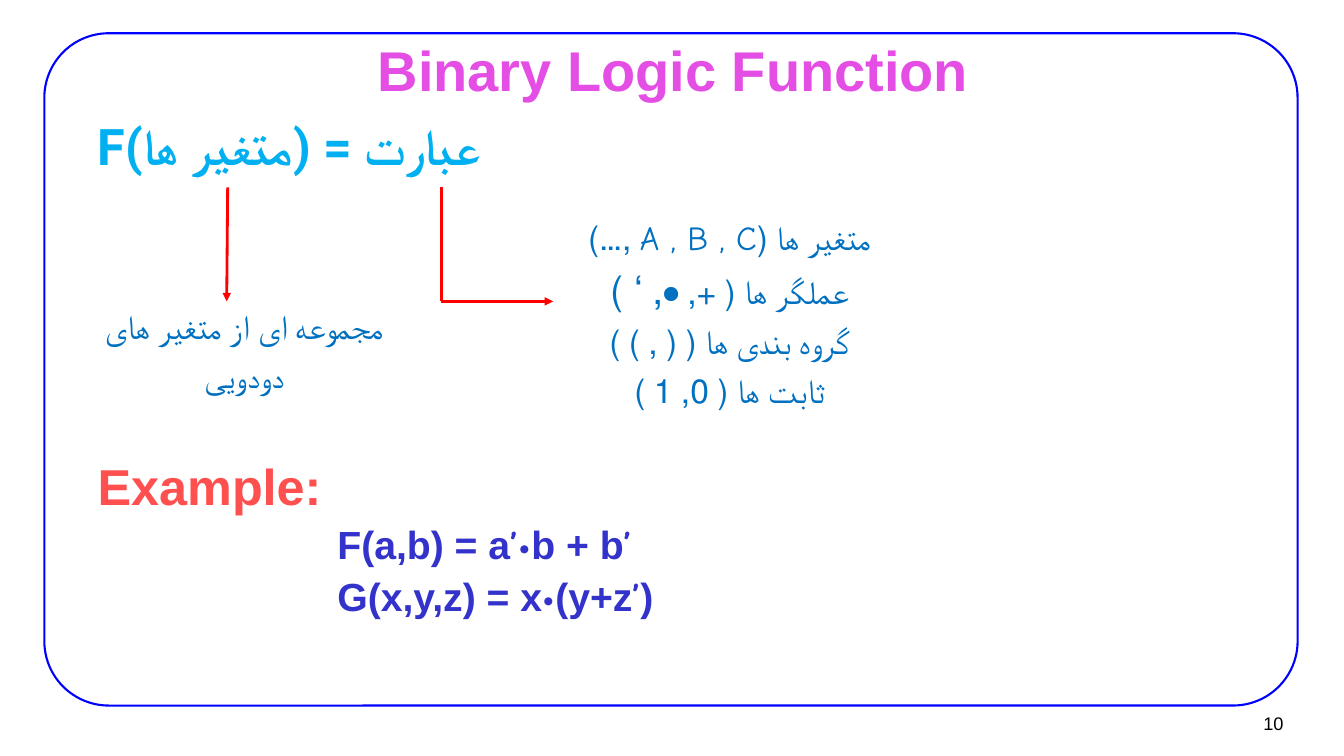
from pptx import Presentation
from pptx.dml.color import RGBColor
from pptx.enum.shapes import MSO_CONNECTOR, MSO_SHAPE
from pptx.enum.text import MSO_ANCHOR, PP_ALIGN
from pptx.oxml.ns import qn
from pptx.util import Pt
from lxml.etree import SubElement

PX = 9144  # 100 px to the inch
BLACK = RGBColor(0x00, 0x00, 0x00)
FRAME_BLUE = RGBColor(0x00, 0x00, 0xFF)
TITLE_PINK = RGBColor(0xE4, 0x4E, 0xE4)
FORMULA_CYAN = RGBColor(0x00, 0xB0, 0xF0)
NOTE_BLUE = RGBColor(0x00, 0x70, 0xC0)
EXAMPLE_RED = RGBColor(0xFF, 0x50, 0x50)
EQUATION_BLUE = RGBColor(0x33, 0x33, 0xCC)
ARROW_RED = RGBColor(0xFF, 0x00, 0x00)
SANS, HAND, HEAVY = "Arial", "Comic Neue", "Roboto"


def px(*lengths):
    return [length * PX for length in lengths]


def add_text_frame(slide, box, inset=(11, 6), anchor=MSO_ANCHOR.TOP, wrap=True):
    frame = slide.shapes.add_textbox(*px(*box)).text_frame
    frame.word_wrap = wrap
    frame.vertical_anchor = anchor
    frame.margin_left = frame.margin_right = inset[0] * PX
    frame.margin_top = frame.margin_bottom = inset[1] * PX
    return frame


def add_line(frame, runs, color, bold=False, align=PP_ALIGN.LEFT,
             before=0, spacing=1.0, indent=0, rtl=False):
    """Fill the next paragraph with (text, font, size) runs."""
    line = frame.paragraphs[0]
    if line.runs:
        line = frame.add_paragraph()
    line.alignment = align
    line.space_before = Pt(before)
    line.line_spacing = spacing
    properties = line._p.get_or_add_pPr()
    properties.set("marL", str(indent * PX))
    if rtl:
        properties.set("rtl", "1")
    for text, font, size in runs:
        run = line.add_run()
        run.text = text
        run.font.name = font
        run.font.size = Pt(size)
        run.font.bold = bold
        run.font.color.rgb = color


def add_frame(slide):
    frame = slide.shapes.add_shape(MSO_SHAPE.ROUNDED_RECTANGLE, *px(44, 33, 1244, 667))
    frame.adjustments[0] = 0.096
    frame.shadow.inherit = False
    frame.fill.background()
    frame.line.color.rgb = FRAME_BLUE
    frame.line.width = Pt(1.5)


def add_pointer(slide, start, end, arrow=True):
    pointer = slide.shapes.add_connector(MSO_CONNECTOR.STRAIGHT, *px(*start, *end))
    pointer.line.color.rgb = ARROW_RED
    pointer.line.width = Pt(2)
    if arrow:
        SubElement(pointer.line._get_or_add_ln(), qn("a:tailEnd"), type="triangle")
    SubElement(pointer._element.spPr, qn("a:effectLst"))


def add_variables_note(slide):
    note = add_text_frame(slide, (61, 299, 363, 99), (10, 5), wrap=False)
    for text in ("مجموعه ای از متغیر های", "دودویی"):
        add_line(note, [(text, HAND, 24)], NOTE_BLUE, align=PP_ALIGN.CENTER, before=6)


def add_expression_parts(slide):
    parts = add_text_frame(slide, (467, 210, 514, 252), (10, 5))
    for runs in (
        [("متغیر ها (A , B , C ,…)", HAND, 24)],
        [("عملگر ها ( +, ", HAND, 24), ("•, ‘ )", HAND, 28)],
        [("گروه بندی ها ( ( , ) )", HAND, 24)],
        [("ثابت ها ( 0, 1 )", HAND, 24)],
    ):
        add_line(parts, runs, NOTE_BLUE, align=PP_ALIGN.CENTER, before=6, rtl=True)


def add_example(slide):
    example = add_text_frame(slide, (86, 452, 1133, 171))
    add_line(example, [("Example:", SANS, 36)], EXAMPLE_RED, bold=True, spacing=0.9)
    for pieces in (
        [("F(a,b) = a", SANS), ("’•", HAND), ("b + b", SANS), ("’", HAND)],
        [("G(x,y,z) = x", SANS), ("•", HAND), ("(y+z", SANS), ("’", HAND), (")", SANS)],
    ):
        add_line(example, [(text, font, 28) for text, font in pieces], EQUATION_BLUE,
                 bold=True, before=7, spacing=0.9, indent=238)


def main():
    deck = Presentation()
    deck.slide_width, deck.slide_height = px(1334, 750)
    slide = deck.slides.add_slide(deck.slide_layouts[6])

    add_frame(slide)
    page_number = add_text_frame(slide, (1202, 699, 81, 37), (9, 4), MSO_ANCHOR.MIDDLE, False)
    add_line(page_number, [("10", SANS, 13)], BLACK, align=PP_ALIGN.RIGHT)
    title = add_text_frame(slide, (101, 44, 1134, 49), anchor=MSO_ANCHOR.MIDDLE)
    add_line(title, [("Binary Logic Function", SANS, 40)], TITLE_PINK,
             bold=True, align=PP_ALIGN.CENTER)
    formula = add_text_frame(slide, (86, 115, 1133, 70))
    add_line(formula, [("F(متغیر ها) = عبارت", HEAVY, 36)], FORMULA_CYAN,
             bold=True, spacing=0.9)

    add_pointer(slide, (226, 186), (225, 299))
    add_variables_note(slide)
    corner = (438, 299)
    add_pointer(slide, (438, 186), corner, arrow=False)
    add_pointer(slide, corner, (549, 299))
    add_expression_parts(slide)
    add_example(slide)

    deck.save("out.pptx")


if __name__ == "__main__":
    main()
